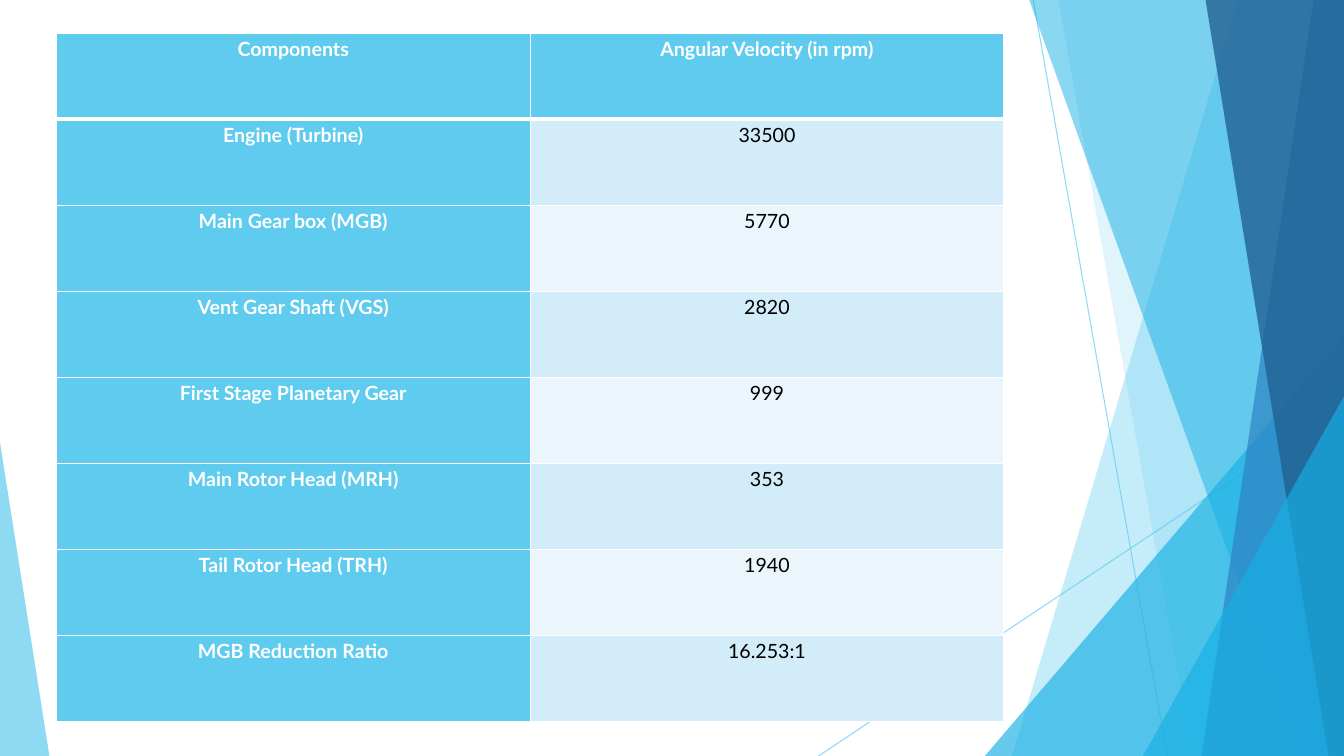
from dataclasses import dataclass
from typing import Union

from lxml.etree import SubElement
from pptx import Presentation
from pptx.dml.color import RGBColor
from pptx.dml.fill import FillFormat
from pptx.enum.shapes import MSO_CONNECTOR as Connector, MSO_SHAPE as Preset
from pptx.enum.text import PP_ALIGN as Align
from pptx.oxml.ns import qn
from pptx.slide import Slide
from pptx.table import _Cell as Cell
from pptx.util import Emu, Inches, Pt

SLIDE_WIDTH, SLIDE_HEIGHT = Inches(13.333), Inches(7.5)
WHITE, BLACK = "FFFFFF", "000000"
SKY, CYAN, BLUE, NAVY = "5FCBEF", "17B0E4", "2E83C3", "226292"
BANDS = ("D2ECF9", "EAF6FC")
ROWS = (
    ("Components", "Angular Velocity (in rpm)"),
    ("Engine (Turbine)", "33500"),
    ("Main Gear box (MGB)", "5770"),
    ("Vent Gear Shaft (VGS)", "2820"),
    ("First Stage Planetary Gear", "999"),
    ("Main Rotor Head (MRH)", "353"),
    ("Tail Rotor Head (TRH)", "1940"),
    ("MGB Reduction Ratio", "16.253:1"),
)


@dataclass(frozen=True)
class Ray:
    start_x: float
    start_y: float
    end_x: float
    end_y: float


@dataclass(frozen=True)
class Band:
    top_x: float
    bottom_x: float
    color: str
    opacity: int


@dataclass(frozen=True)
class Wedge:
    left: float
    right: float
    top: float
    peak: float
    color: str
    opacity: int


Facet = Union[Ray, Band, Wedge]

FACETS: tuple[Facet, ...] = (
    Ray(76.88, 0, 86.85, 100),
    Ray(100, 53.73, 60.9, 100),
    Band(92.1, 75.3, SKY, 36),
    Band(78.75, 88.73, SKY, 20),
    Wedge(73.28, 100, 44.4, 1, CYAN, 66),
    Band(76.58, 96.83, CYAN, 50),
    Band(97.73, 89.4, BLUE, 70),
    Band(89.7, 98.85, NAVY, 80),
    Wedge(85.05, 100, 52.4, 1, CYAN, 66),
    Wedge(0, 3.68, 58.53, 0, SKY, 70),
)


def across(percent: float) -> Emu:
    return Emu(round(SLIDE_WIDTH * percent / 100))


def down(percent: float) -> Emu:
    return Emu(round(SLIDE_HEIGHT * percent / 100))


def rgb(color: str) -> RGBColor:
    return RGBColor.from_string(color)


def paint(fill: FillFormat, color: str, opacity: int = 100) -> None:
    fill.solid()
    fill.fore_color.rgb = rgb(color)
    if opacity < 100:
        color_element = fill._xPr.find(qn("a:solidFill"))[0]
        SubElement(color_element, qn("a:alpha"), val=str(opacity * 1000))


def draw_ray(slide: Slide, ray: Ray) -> None:
    connector = slide.shapes.add_connector(
        Connector.STRAIGHT,
        across(ray.start_x), down(ray.start_y), across(ray.end_x), down(ray.end_y),
    )
    connector.line.width = Pt(0.75)
    paint(connector.line.fill, SKY, 70)
    SubElement(connector._element.spPr, qn("a:effectLst"))


def draw_facet(slide: Slide, facet: Union[Band, Wedge]) -> None:
    if isinstance(facet, Band):
        builder = slide.shapes.build_freeform(across(facet.top_x), 0)
        corners = ((100, 0), (100, 100), (facet.bottom_x, 100))
        builder.add_line_segments([(across(x), down(y)) for x, y in corners])
        shape = builder.convert_to_shape()
    else:
        shape = slide.shapes.add_shape(
            Preset.ISOSCELES_TRIANGLE,
            across(facet.left), down(facet.top),
            across(facet.right - facet.left), down(100 - facet.top),
        )
        shape.adjustments[0] = facet.peak
    shape.shadow.inherit = False
    shape.line.fill.background()
    paint(shape.fill, facet.color, facet.opacity)


def set_borders(cell: Cell, row: int) -> None:
    widths = {"L": 1, "R": 1, "T": 3 if row == 1 else 1, "B": 3 if row == 0 else 1}
    properties = cell._tc.get_or_add_tcPr()
    for side, width in widths.items():
        border = SubElement(properties, qn(f"a:ln{side}"), w=str(Pt(width)))
        solid = SubElement(border, qn("a:solidFill"))
        SubElement(solid, qn("a:srgbClr"), val=WHITE)


def fill_cell(cell: Cell, text: str, row: int, column: int) -> None:
    heading = row == 0 or column == 0
    set_borders(cell, row)
    paint(cell.fill, SKY if heading else BANDS[(row - 1) % 2])
    cell.margin_left = cell.margin_right = Inches(0.07)
    cell.margin_top = cell.margin_bottom = 0
    cell.text = text
    paragraph = cell.text_frame.paragraphs[0]
    paragraph.alignment = Align.CENTER
    paragraph.line_spacing = 1.15
    paragraph.space_after = Pt(10)
    paragraph.font.name = "Lato"
    paragraph.font.size = Pt(14)
    paragraph.font.bold = heading
    paragraph.font.color.rgb = rgb(WHITE if heading else BLACK)


def draw_table(slide: Slide) -> None:
    table = slide.shapes.add_table(
        len(ROWS), len(ROWS[0]), across(4.2), down(4.4), across(70.5), down(91.07)
    ).table
    table.first_row = table.horz_banding = False
    for row, texts in enumerate(ROWS):
        for column, text in enumerate(texts):
            fill_cell(table.cell(row, column), text, row, column)


def main() -> None:
    presentation = Presentation()
    presentation.slide_width, presentation.slide_height = SLIDE_WIDTH, SLIDE_HEIGHT
    slide = presentation.slides.add_slide(presentation.slide_layouts[6])
    for facet in FACETS:
        if isinstance(facet, Ray):
            draw_ray(slide, facet)
        else:
            draw_facet(slide, facet)
    draw_table(slide)
    presentation.save("out.pptx")


if __name__ == "__main__":
    main()
